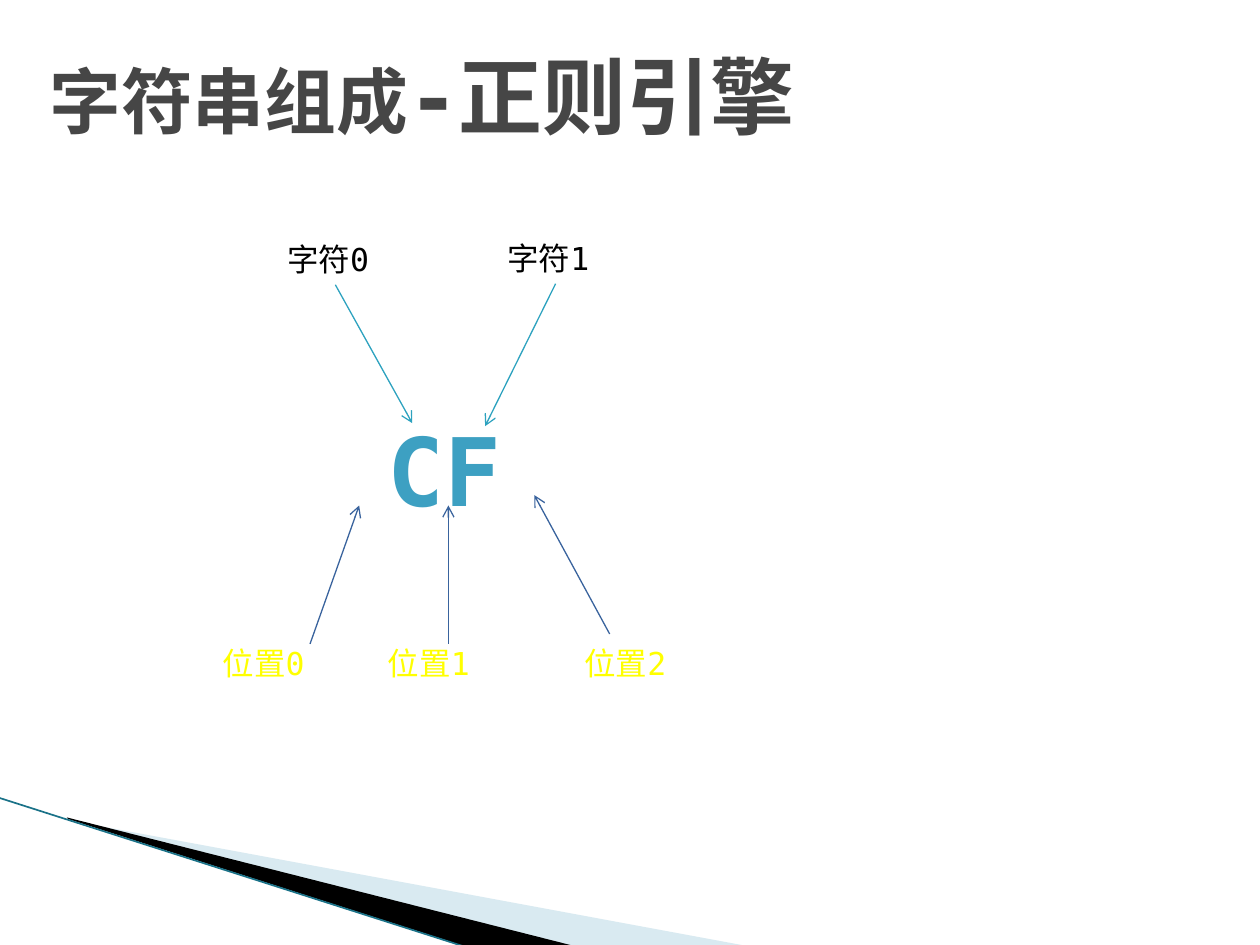
from dataclasses import dataclass

from lxml.etree import SubElement
from pptx import Presentation
from pptx.dml.color import RGBColor as Rgb
from pptx.enum.shapes import MSO_CONNECTOR as Connector
from pptx.enum.text import MSO_ANCHOR as Anchor, MSO_AUTO_SIZE as AutoSize, PP_ALIGN as Align
from pptx.oxml.ns import qn
from pptx.util import Cm, Pt

BOTTOM = 2  # connection site in the middle of the lower side


@dataclass(frozen=True)
class Theme:
    font: str = "DejaVu Sans Mono"
    title: str = "464646"
    sample: str = "3DA0C2"
    character: str = "000000"
    position: str = "FFFF00"
    character_arrow: str = "2DA2BF"
    position_arrow: str = "39639D"
    wedge_pale: str = "A0CBDC"
    wedge_dark: str = "000000"
    edge: str = "1A7288"
    title_size: float = 41
    title_large: float = 48
    sample_size: float = 54
    label_size: float = 18
    arrow_width: float = 0.75
    edge_width: float = 0.95


THEME = Theme()


def add_run(paragraph, text, size, color, bold=False):
    run = paragraph.add_run()
    run.text = text
    run.font.name = THEME.font
    run.font.size = Pt(size)
    run.font.bold = bold
    run.font.color.rgb = Rgb.from_string(color)


def add_title(slide, *parts):
    title = slide.shapes.title
    title.left, title.top, title.width, title.height = Cm(0.74), Cm(0.33), Cm(20.75), Cm(3.18)
    frame = title.text_frame
    frame.auto_size = AutoSize.NONE
    frame.vertical_anchor = Anchor.MIDDLE
    paragraph = frame.paragraphs[0]
    paragraph.alignment = Align.LEFT
    for text, size in parts:
        add_run(paragraph, text, size, THEME.title, bold=True)


def add_text(slide, text, box, size, color, bold=False, wrap=True, align=Align.LEFT):
    textbox = slide.shapes.add_textbox(*map(Cm, box))
    frame = textbox.text_frame
    frame.word_wrap = wrap
    frame.auto_size = AutoSize.SHAPE_TO_FIT_TEXT
    frame.paragraphs[0].alignment = align
    add_run(frame.paragraphs[0], text, size, color, bold)
    return textbox


def add_label(slide, text, left, top, color):
    return add_text(slide, text, (left, top, 2.44, 1.02), THEME.label_size, color)


def add_line(slide, start, end, color, width, arrow=False):
    line = slide.shapes.add_connector(Connector.STRAIGHT, *map(Cm, start + end))
    line.line.color.rgb = Rgb.from_string(color)
    line.line.width = Pt(width)
    if arrow:
        SubElement(line.line._get_or_add_ln(), qn("a:tailEnd"), type="arrow")
    SubElement(line._element.spPr, qn("a:effectLst"))
    return line


def add_wedge(slide, points, color, opacity=100):
    start, *rest = [(Cm(x), Cm(y)) for x, y in points]
    builder = slide.shapes.build_freeform(*start)
    builder.add_line_segments(rest, close=True)
    wedge = builder.convert_to_shape()
    wedge.shadow.inherit = False
    wedge.fill.solid()
    wedge.fill.fore_color.rgb = Rgb.from_string(color)
    wedge.line.fill.background()
    if opacity < 100:
        fill_color = wedge._element.spPr.find(qn("a:solidFill"))[0]
        SubElement(fill_color, qn("a:alpha"), val=str(opacity * 1000))


def add_corner(slide):
    add_wedge(slide, [(1.4, 16.54), (15.11, 19.08), (11.58, 19.08), (1.4, 16.51)],
              THEME.wedge_pale, opacity=40)
    add_wedge(slide, [(1.35, 16.48), (11.61, 19.08), (9.45, 19.1), (1.37, 16.51)],
              THEME.wedge_dark)
    add_line(slide, (-0.03, 16.08), (9.42, 19.1), THEME.edge, THEME.edge_width)


def main():
    prs = Presentation()
    prs.slide_width, prs.slide_height = Cm(25.4), Cm(19.05)
    slide = prs.slides.add_slide(prs.slide_layouts[5])

    # Corner decoration and title
    add_corner(slide)
    add_title(slide, ("字符串组成", THEME.title_size), ("-正则引擎", THEME.title_large))

    # The string being explained
    add_text(slide, "CF", (7.42, 8.18, 3.07, 2.57), THEME.sample_size, THEME.sample,
             bold=True, wrap=False, align=Align.CENTER)

    # Positions between the characters, pointed at from below
    positions = [
        (4.24, (6.25, 12.98), (7.24, 10.19)),
        (7.57, (9.04, 12.98), (9.04, 10.19)),
        (11.53, (12.29, 12.78), (10.77, 9.98)),
    ]
    for index, (left, start, end) in enumerate(positions):
        add_line(slide, start, end, THEME.position_arrow, THEME.arrow_width, arrow=True)
        add_label(slide, f"位置{index}", left, 12.85, THEME.position)

    # Characters, pointed at from above
    characters = [(5.54, 4.72, (8.31, 8.53)), (9.98, 4.7, (9.78, 8.59))]
    for index, (left, top, end) in enumerate(characters):
        label = add_label(slide, f"字符{index}", left, top, THEME.character)
        arrow = add_line(slide, (left, top), end, THEME.character_arrow,
                         THEME.arrow_width, arrow=True)
        arrow.begin_connect(label, BOTTOM)

    prs.save("out.pptx")


if __name__ == "__main__":
    main()
